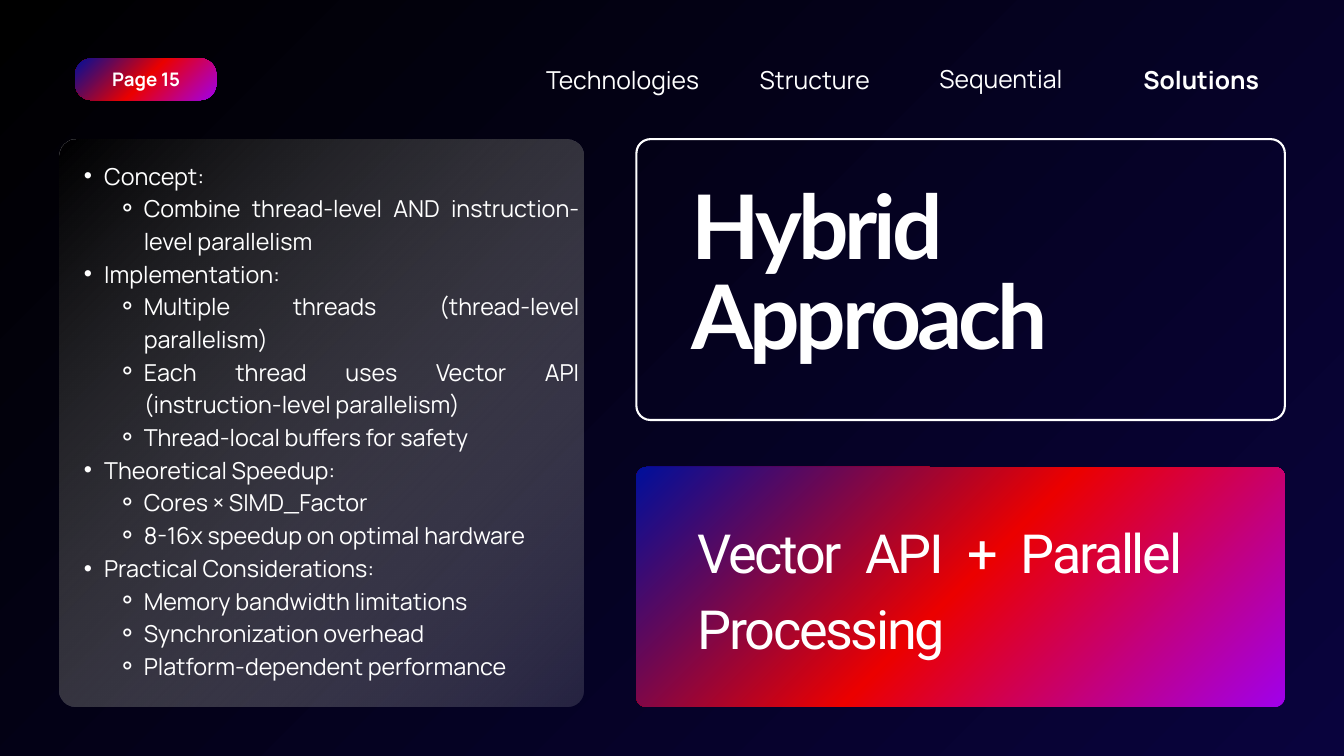
from lxml.etree import SubElement
from pptx import Presentation
from pptx.dml.color import RGBColor
from pptx.enum.shapes import MSO_SHAPE
from pptx.enum.text import MSO_ANCHOR, MSO_AUTO_SIZE, PP_ALIGN
from pptx.oxml.ns import qn
from pptx.util import Inches, Pt

COLUMNS, ROWS = 20, 11.25
CELL = Inches(1)
WHITE = RGBColor.from_string("FFFFFF")
PANEL_TOP, PANEL_BOTTOM = 2.07, 10.52
RIGHT_LEFT, RIGHT_WIDTH = 9.47, 9.65

deck = Presentation()
deck.slide_width, deck.slide_height = int(COLUMNS * CELL), int(ROWS * CELL)
slide = deck.slides.add_slide(deck.slide_layouts[5])


def blend(fill, owner, stops, angle=None):
    """Fill with (position %, hex, opacity %) stops: linear at an angle, else circular from the top left."""
    fill.gradient()
    gradient = next(owner.iter(qn("a:gradFill")))
    for child in list(gradient):
        gradient.remove(child)
    stop_list = SubElement(gradient, qn("a:gsLst"))
    for position, color, opacity in stops:
        stop = SubElement(stop_list, qn("a:gs"), pos=str(position * 1000))
        tint = SubElement(stop, qn("a:srgbClr"), val=color)
        if opacity < 100:
            SubElement(tint, qn("a:alpha"), val=str(opacity * 1000))
    if angle is None:
        circle = SubElement(gradient, qn("a:path"), path="circle")
        SubElement(circle, qn("a:fillToRect"), l="0", t="0", r="100000", b="100000")
    else:
        SubElement(gradient, qn("a:lin"), ang=str(angle * 60000), scaled="0")


def write(box, cells, lines, align, spacing, style):
    """Place a text box or placeholder and fill it with (level, text) lines."""
    box.left, box.top, box.width, box.height = (int(n * CELL) for n in cells)
    frame = box.text_frame
    frame.margin_left = frame.margin_top = frame.margin_right = frame.margin_bottom = 0
    frame.word_wrap, frame.vertical_anchor = True, MSO_ANCHOR.TOP
    frame.auto_size = MSO_AUTO_SIZE.SHAPE_TO_FIT_TEXT
    for index, (level, text) in enumerate(lines):
        paragraph = frame.add_paragraph() if index else frame.paragraphs[0]
        if level:
            bullet, margin, indent = BULLETS[level]
            properties = paragraph._p.get_or_add_pPr()
            properties.set("marL", str(Inches(margin)))
            properties.set("indent", str(Inches(indent)))
            SubElement(properties, qn("a:buFont"), typeface="Arial")
            SubElement(properties, qn("a:buChar"), char=bullet)
        paragraph.level = level
        paragraph.alignment, paragraph.line_spacing = align, Pt(spacing)
        run = paragraph.add_run()
        run.text = text
        run.font.color.rgb = WHITE
        for name, value in style.items():
            if name == "tracking":
                run.font._element.set("spc", str(round(value * 100)))
            else:
                setattr(run.font, name, value)


BULLETS = {1: ("•", 0.59, -0.3), 2: ("⚬", 1.18, -0.39)}
NIGHT = [(0, "000000", 100), (100, "09033D", 100)]
SMOKE = [(0, "000000", 78), (100, "DDDDDD", 15)]
FLAME = [(0, "000F9B", 100), (50, "EB0000", 100), (100, "A000EB", 100)]

blend(slide.background.fill, slide._element, NIGHT)

# Rounded panels: cells, corner radius, gradient, angle
panels = [
    ((0.88, PANEL_TOP, 7.81, PANEL_BOTTOM - PANEL_TOP), 0.25, SMOKE, 45),
    ((RIGHT_LEFT, 6.95, RIGHT_WIDTH, PANEL_BOTTOM - 6.95), 0.15, FLAME, None),
    ((RIGHT_LEFT, PANEL_TOP, RIGHT_WIDTH, 4.18), 0.21, None, None),
    ((1.12, 0.87, 2.1, 0.62), 0.24, FLAME, None),
]
for cells, radius, stops, angle in panels:
    panel = slide.shapes.add_shape(MSO_SHAPE.ROUNDED_RECTANGLE, *(int(n * CELL) for n in cells))
    panel.shadow.inherit = False
    panel.adjustments[0] = radius / min(cells[2:])
    if stops:
        blend(panel.fill, panel._element, stops, angle)
        panel.line.fill.background()
    else:
        panel.fill.background()
        panel.line.color.rgb, panel.line.width = WHITE, Pt(2.25)

approach = [
    (1, "Concept:"),
    (2, "Combine thread-level AND instruction-level parallelism"),
    (1, "Implementation:"),
    (2, "Multiple threads (thread-level parallelism)"),
    (2, "Each thread uses Vector API (instruction-level parallelism)"),
    (2, "Thread-local buffers for safety"),
    (1, "Theoretical Speedup:"),
    (2, "Cores × SIMD_Factor"),
    (2, "8-16x speedup on optimal hardware"),
    (1, "Practical Considerations:"),
    (2, "Memory bandwidth limitations"),
    (2, "Synchronization overhead"),
    (2, "Platform-dependent performance"),
]
write(slide.shapes.title, (10.29, 2.77, 8.08, 2.85), [(0, "Hybrid Approach")], PP_ALIGN.JUSTIFY, 97.3,
      {"name": "Lato", "size": Pt(95.4), "bold": True, "tracking": -4.3})

# Text boxes: cells, lines, alignment, line spacing, font
texts = [
    ((0.96, 2.34, 7.66, 8.63), approach, PP_ALIGN.JUSTIFY, 35, {"name": "Manrope", "size": Pt(25)}),
    ((10.38, 7.58, 7.18, 2.2), [(0, "Vector API + Parallel Processing")], PP_ALIGN.JUSTIFY, 80.8,
     {"name": "Roboto", "size": Pt(57.8), "tracking": -2.5}),
    ((1.4, 0.95, 1.55, 0.39), [(0, "Page 15")], PP_ALIGN.CENTER, 28,
     {"name": "Manrope", "size": Pt(20), "bold": True}),
]
# Navigation tabs: left, top, width
tabs = {
    "Technologies": (7.77, 0.89, 2.99),
    "Structure": (10.75, 0.89, 2.75),
    "Sequential": (13.51, 0.87, 2.77),
    "Solutions": (16.27, 0.89, 3.21),
}
for tab, cells in tabs.items():
    texts.append(((*cells, 0.52), [(0, tab)], PP_ALIGN.CENTER, 37.1,
                  {"name": "Manrope", "size": Pt(26.5), "bold": tab == "Solutions"}))
for text in texts:
    write(slide.shapes.add_textbox(0, 0, 0, 0), *text)

deck.save("out.pptx")
